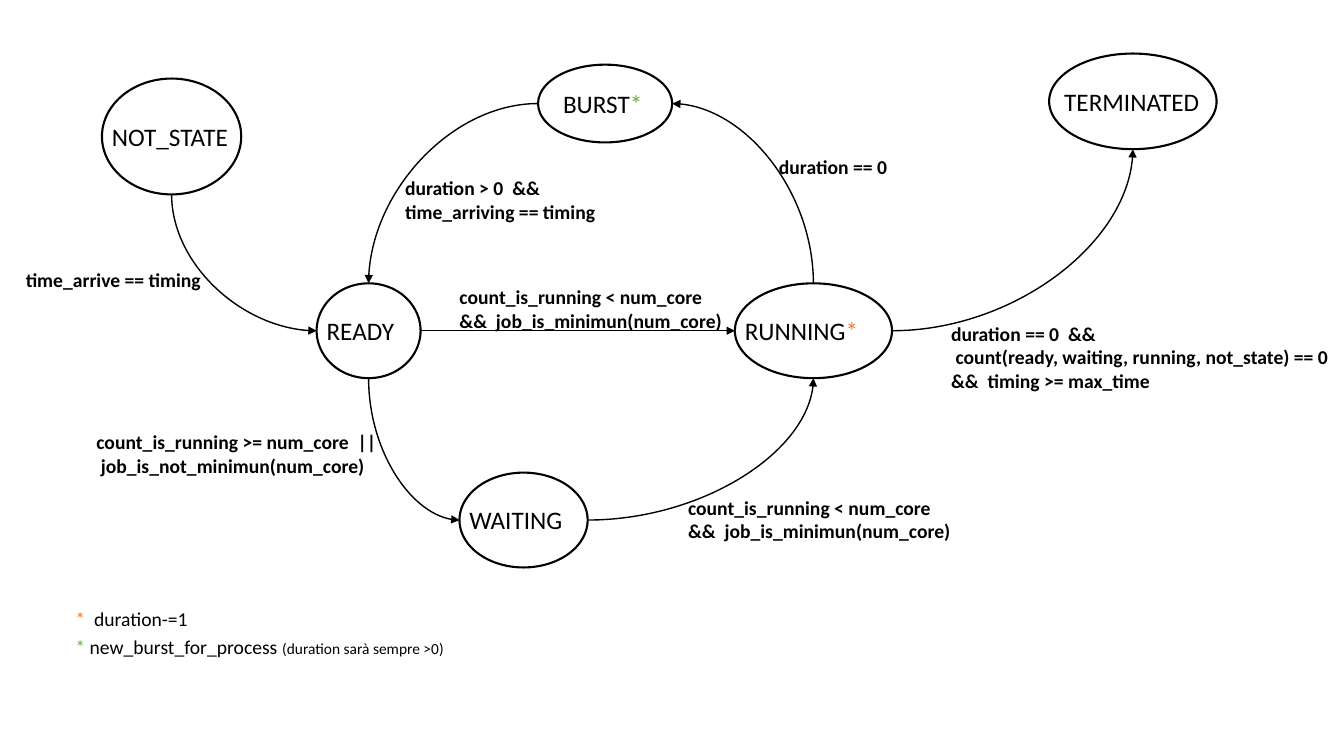
from lxml import etree
from pptx import Presentation
from pptx.dml.color import RGBColor
from pptx.enum.shapes import MSO_CONNECTOR as LINK, MSO_SHAPE as SHAPE
from pptx.oxml.ns import qn
from pptx.util import Cm, Pt

COLORS = {"ink": "000000", "paper": "FFFFFF", "orange": "ED7D31", "green": "70AD47"}
FONT = "Calibri"
LABEL_H = 1.02

# name: left, top, width, height, label indent, label width, star colour
STATES = {
    "NOT_STATE": (2.17, 0.68, 3.51, 2.92, 0, 3.51, None),
    "READY": (7.58, 5.84, 2.62, 2.39, 0, 2.39, None),
    "RUNNING": (18.12, 5.84, 3.96, 2.39, 0, 3.48, "orange"),
    "WAITING": (11.18, 10.61, 3.23, 2.39, 0, 2.97, None),
    "BURST": (13.16, 0.33, 3.38, 1.96, 0.38, 2.74, "green"),
    "TERMINATED": (26.04, 0.05, 4.22, 2.41, 0.13, 4.09, None),
}

TRANSITIONS = [
    ("NOT_STATE", "bottom", "READY", "left"),
    ("READY", "right", "RUNNING", "left"),
    ("READY", "bottom", "WAITING", "left"),
    ("WAITING", "right", "RUNNING", "bottom"),
    ("RUNNING", "top", "BURST", "right"),
    ("BURST", "left", "READY", "top"),
    ("RUNNING", "right", "TERMINATED", "bottom"),
]

DISPATCH = "count_is_running < num_core  &&  job_is_minimun(num_core)"
# left, top, width, number of lines, paragraphs
CONDITIONS = [
    (0, 5.33, 5.46, 1, ["time_arrive == timing"]),
    (10.93, 5.76, 7.19, 2, [DISPATCH]),
    (1.78, 9.42, 7.65, 2,
     ["count_is_running >= num_core  ||  job_is_not_minimun(num_core)"]),
    (16.69, 11.07, 7.29, 2, [DISPATCH]),
    (18.98, 2.48, 3.96, 1, ["duration == 0"]),
    (9.56, 3.02, 5.49, 2, ["duration > 0  && time_arriving == timing"]),
    (23.32, 6.68, 10.16, 3,
     ["duration == 0  && ", " count(ready, waiting, running, not_state) == 0",
      "&&  timing >= max_time"]),
]

LEGEND = [
    (3.58, [("* ", {"color": "orange"}), (" duration-=1", {})]),
    (10.36, [("* ", {"color": "green"}), ("new_burst_for_process ", {}),
             ("(duration sarà sempre >0)", {"size": 11})]),
]

# ellipse connection site and position as a share of width and height
SITES = {"top": (0, 0.5, 0), "left": (2, 0, 0.5),
         "bottom": (4, 0.5, 1), "right": (6, 1, 0.5)}


def rgb(name):
    """Return the named colour."""
    return RGBColor.from_string(COLORS[name])


def add_run(p, text, size=14, bold=False, color="ink"):
    """Add formatted text to a paragraph."""
    r = p.add_run()
    r.text = text
    r.font.name, r.font.size, r.font.bold = FONT, Pt(size), bold
    r.font.color.rgb = rgb(color)


def add_text(slide, box, paragraphs, **fmt):
    """Add a text box; each paragraph is a list of (text, own format) runs."""
    tf = slide.shapes.add_textbox(*map(Cm, box)).text_frame
    tf.word_wrap = True
    for i, runs in enumerate(paragraphs):
        p = tf.add_paragraph() if i else tf.paragraphs[0]
        for text, own in runs:
            add_run(p, text, **{**fmt, **own})


def add_state(slide, box, name, indent, label_w, star):
    """Draw one state ellipse with its label centred on the height."""
    left, top, width, height = box
    sp = slide.shapes.add_shape(SHAPE.OVAL, *map(Cm, box))
    sp.shadow.inherit = False
    sp.fill.solid()
    sp.fill.fore_color.rgb = rgb("paper")
    sp.line.color.rgb = rgb("ink")
    sp.line.width = Pt(1.5)
    runs = [(name, {})] + ([("*", {"color": star})] if star else [])
    label = (left + indent, top + (height - LABEL_H) / 2, label_w, LABEL_H)
    add_text(slide, label, [runs], size=18)
    return sp


def add_transition(slide, start, start_side, end, end_side):
    """Join two states with a curved arrow glued to the given sides."""
    ends = []
    for sp, side in ((start, start_side), (end, end_side)):
        site, fx, fy = SITES[side]
        ends.append((sp.left + int(sp.width * fx), sp.top + int(sp.height * fy)))
    (x1, y1), (x2, y2) = ends
    upright = start_side in ("top", "bottom")
    if upright:  # lay the curve on its side, then turn it by 90 degrees
        cx, cy, dx, dy = (x1 + x2) // 2, (y1 + y2) // 2, x2 - x1, y2 - y1
        x1, y1 = cx - dy // 2, cy + dx // 2
        x2, y2 = x1 + dy, y1 - dx
    cxn = slide.shapes.add_connector(LINK.CURVE, x1, y1, x2, y2)
    cxn.line.color.rgb = rgb("ink")
    cxn.line.width = Pt(1)
    etree.SubElement(cxn.line._get_or_add_ln(), qn("a:tailEnd"), type="triangle")
    sp_pr = cxn._element.spPr
    etree.SubElement(sp_pr, qn("a:effectLst"))
    if upright:
        sp_pr.find(qn("a:xfrm")).set("rot", "5400000")
    if y1 != y2:
        sp_pr.find(qn("a:prstGeom")).set("prst", "curvedConnector2")
    glue = cxn._element.find(".//" + qn("p:cNvCxnSpPr"))
    for tag, sp, side in (("a:stCxn", start, start_side), ("a:endCxn", end, end_side)):
        etree.SubElement(glue, qn(tag), id=str(sp.shape_id), idx=str(SITES[side][0]))


def draw_diagram(slide, left, top):
    """Draw states, transitions and their conditions."""
    states = {name: add_state(slide, (left + x, top + y, w, h), name, *label)
              for name, (x, y, w, h, *label) in STATES.items()}
    for start, start_side, end, end_side in TRANSITIONS:
        add_transition(slide, states[start], start_side, states[end], end_side)
    for x, y, w, lines, texts in CONDITIONS:
        box = (left + x, top + y, w, 0.27 + 0.6 * lines)
        add_text(slide, box, [[(text, {})] for text in texts], bold=True)


def draw_legend(slide, left, top, pitch=0.72):
    """List the meaning of the stars."""
    for i, (width, runs) in enumerate(LEGEND):
        add_text(slide, (left, top + i * pitch, width, 0.87), [runs])


prs = Presentation()
prs.slide_width, prs.slide_height = Cm(33.87), Cm(19.05)
s = prs.slides.add_slide(prs.slide_layouts[6])
draw_diagram(s, 0.4, 1.3)
draw_legend(s, 1.65, 15.16)
prs.save("out.pptx")
